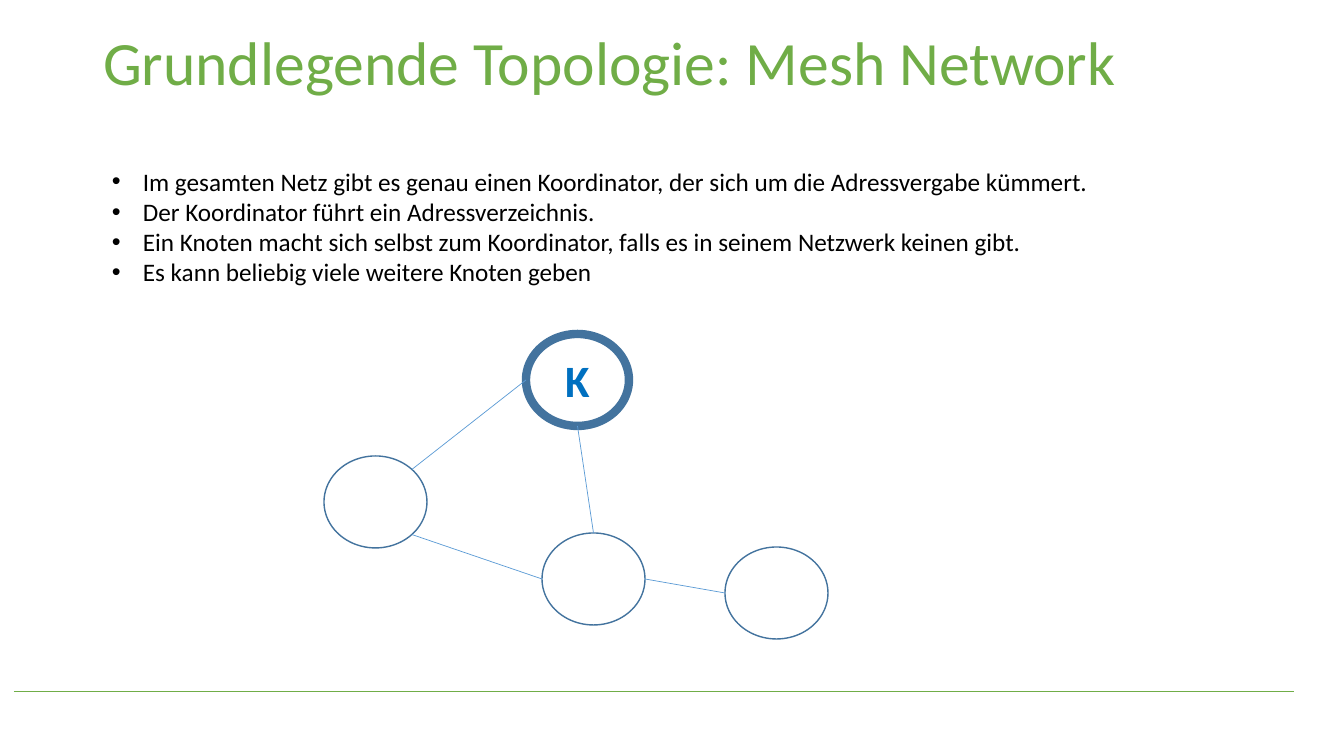
"""Build the slide on the basic topology of a mesh network."""
import math
from lxml import etree
from pptx import Presentation, util as u
from pptx.dml.color import RGBColor
from pptx.enum import shapes, text
from pptx.oxml.ns import qn

SCALE = 914400 / 100.8
FONT = "Calibri"
GREEN, BLUE, LINK_BLUE, NODE_BLUE = "70AD47", "0070C0", "5B9BD5", "43739E"
BLACK, WHITE = "000000", "FFFFFF"

TITLE = "Grundlegende Topologie: Mesh Network"
TITLE_BOX = (93, 27, 1159, 146)
BULLETS = [
    "Im gesamten Netz gibt es genau einen Koordinator, der sich um die Adressvergabe kümmert.",
    "Der Koordinator führt ein Adressverzeichnis.",
    "Ein Knoten macht sich selbst zum Koordinator, falls es in seinem Netzwerk keinen gibt.",
    "Es kann beliebig viele weitere Knoten geben",
]
BULLET_BOX = (102, 161, 1008, 132)
BULLET_INDENT = 31
FOOTER_LINE = ((14, 691), (1294, 691))

NODE_WIDTH, NODE_HEIGHT = 103, 92
NODES = {
    "left": (324, 456, "", 1),
    "coordinator": (526, 334, "K", 6),
    "middle": (542, 533, "", 1),
    "right": (725, 547, "", 1),
}
ANGLES = {"east": 0, "southeast": 45, "south": 90, "west": 180, "north": 270, "northeast": 315}
LINKS = [
    ("left", "northeast", "coordinator", "west"),
    ("coordinator", "south", "middle", "north"),
    ("left", "southeast", "middle", "west"),
    ("middle", "east", "right", "west"),
]


def px(*lengths):
    return [u.Emu(round(length * SCALE)) for length in lengths]


def color(value):
    return RGBColor.from_string(value)


def add_run(paragraph, words, size, fill, bold=False):
    run = paragraph.add_run()
    run.text = words
    run.font.name, run.font.size, run.font.bold = FONT, u.Pt(size), bold
    run.font.color.rgb = color(fill)


def add_line(slide, start, end, stroke):
    line = slide.shapes.add_connector(shapes.MSO_CONNECTOR.STRAIGHT, *px(*start, *end))
    line.line.color.rgb = color(stroke)
    line.line.width = u.Pt(0.5)
    etree.SubElement(line._element.spPr, qn("a:effectLst"))


def add_node(slide, left, top, label, width):
    node = slide.shapes.add_shape(
        shapes.MSO_SHAPE.OVAL, *px(left, top, NODE_WIDTH, NODE_HEIGHT))
    node.shadow.inherit = False
    node.fill.solid()
    node.fill.fore_color.rgb = color(WHITE)
    node.line.color.rgb = color(NODE_BLUE)
    node.line.width = u.Pt(width)
    if label:
        node.text_frame.vertical_anchor = text.MSO_ANCHOR.MIDDLE
        paragraph = node.text_frame.paragraphs[0]
        paragraph.alignment = text.PP_ALIGN.CENTER
        add_run(paragraph, label, 32, BLUE, True)


def node_point(name, side):
    left, top = NODES[name][:2]
    angle = math.radians(ANGLES[side])
    return (left + NODE_WIDTH / 2 * (1 + math.cos(angle)),
            top + NODE_HEIGHT / 2 * (1 + math.sin(angle)))


def add_title(slide):
    title = slide.shapes.title
    title.left, title.top, title.width, title.height = px(*TITLE_BOX)
    title.text_frame.vertical_anchor = text.MSO_ANCHOR.TOP
    title.text_frame.word_wrap = True
    paragraph = title.text_frame.paragraphs[0]
    paragraph.alignment = text.PP_ALIGN.LEFT
    paragraph.line_spacing = 0.9
    add_run(paragraph, TITLE, 44, GREEN)


def add_bullets(slide):
    frame = slide.shapes.add_textbox(*px(*BULLET_BOX)).text_frame
    frame.word_wrap = False
    frame.auto_size = text.MSO_AUTO_SIZE.SHAPE_TO_FIT_TEXT
    indent = px(BULLET_INDENT)[0]
    for index, words in enumerate(BULLETS):
        paragraph = frame.add_paragraph() if index else frame.paragraphs[0]
        properties = paragraph._p.get_or_add_pPr()
        properties.set("marL", str(indent))
        properties.set("indent", str(-indent))
        etree.SubElement(properties, qn("a:buFont"), typeface="Arial")
        etree.SubElement(properties, qn("a:buChar"), char="•")
        add_run(paragraph, words, 18, BLACK)


presentation = Presentation()
presentation.slide_width, presentation.slide_height = px(1344, 756)
slide = presentation.slides.add_slide(presentation.slide_layouts[5])
add_line(slide, *FOOTER_LINE, GREEN)
add_title(slide)
for node in NODES.values():
    add_node(slide, *node)
for start, start_side, end, end_side in LINKS:
    add_line(slide, node_point(start, start_side), node_point(end, end_side), LINK_BLUE)
add_bullets(slide)
presentation.save("out.pptx")
